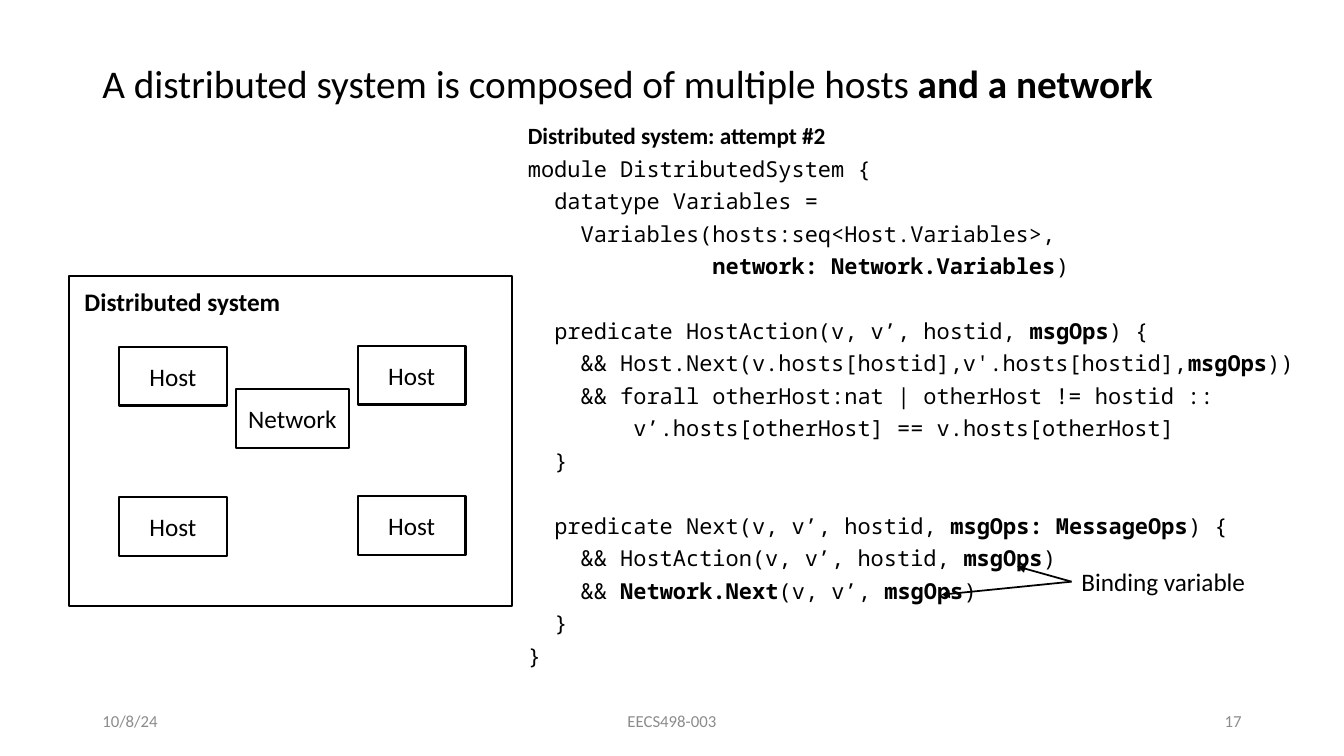
import pptx
import pptx.dml.color
import pptx.enum.shapes
import pptx.enum.text
import pptx.oxml
import pptx.oxml.ns
import pptx.util

Pt = pptx.util.Pt
ALIGN = pptx.enum.text.PP_ALIGN
ANCHOR = pptx.enum.text.MSO_ANCHOR
AUTO_SIZE = pptx.enum.text.MSO_AUTO_SIZE

COLORS = {"ink": "000000", "paper": "FFFFFF", "footer": "8C8C8C"}
SANS, MONO = "Calibri", "Noto Sans Mono"
CODE_SIZE = 15.7
CHARACTER_WIDTH = 0.6 * CODE_SIZE
LINE_GAP = 10
BLANK_LINE = 23.2

# Indent in characters, blank line before, text with bold parts between asterisks
CODE = [
    (0, False, "module DistributedSystem {"),
    (2, False, "datatype Variables ="),
    (4, False, "Variables(hosts:seq<Host.Variables>,"),
    (14, False, "*network: Network.Variables*)"),
    (2, True, "predicate HostAction(v, v’, hostid, *msgOps*) {"),
    (4, False, "&& Host.Next(v.hosts[hostid],v'.hosts[hostid],*msgOps*))"),
    (4, False, "&& forall otherHost:nat | otherHost != hostid ::"),
    (8, False, "v’.hosts[otherHost] == v.hosts[otherHost]"),
    (2, False, "}"),
    (2, True, "predicate Next(v, v’, hostid, *msgOps: MessageOps*) {"),
    (4, False, "&& HostAction(v, v’, hostid, *msgOps*)"),
    (4, False, "&& *Network.Next*(v, v’, *msgOps*)"),
    (2, False, "}"),
    (0, False, "}"),
]


def rgb(name):
    return pptx.dml.color.RGBColor.from_string(COLORS[name])


def write(paragraph, text, size=18, font=SANS, color="ink", align=ALIGN.LEFT,
          line_spacing=None, space_before=None, indent=0):
    """Fill a paragraph; parts between asterisks are bold."""
    paragraph.alignment = align
    if line_spacing:
        paragraph.line_spacing = line_spacing
    if space_before is not None:
        paragraph.space_before = Pt(space_before)
    if indent:
        properties = paragraph._p.get_or_add_pPr()
        properties.set("marL", str(Pt(indent)))
        properties.set("indent", "0")
    for index, part in enumerate(text.split("*")):
        if part:
            run = paragraph.add_run()
            run.text = part
            run.font.size = Pt(size)
            run.font.name = font
            run.font.bold = index % 2 == 1
            run.font.color.rgb = rgb(color)


def add_text(shapes, box, text, anchor=ANCHOR.TOP, wrap=True, grow=False, **text_format):
    shape = shapes.add_textbox(*map(Pt, box))
    frame = shape.text_frame
    frame.word_wrap = wrap
    frame.vertical_anchor = anchor
    frame.auto_size = AUTO_SIZE.SHAPE_TO_FIT_TEXT if grow else AUTO_SIZE.NONE
    write(frame.paragraphs[0], text, **text_format)
    return shape


def add_box(shapes, box, text=""):
    shape = shapes.add_shape(pptx.enum.shapes.MSO_SHAPE.RECTANGLE, *map(Pt, box))
    shape.shadow.inherit = False
    shape.fill.solid()
    shape.fill.fore_color.rgb = rgb("paper")
    shape.line.color.rgb = rgb("ink")
    shape.line.width = Pt(1.5)
    if text:
        shape.text_frame.vertical_anchor = ANCHOR.MIDDLE
        write(shape.text_frame.paragraphs[0], text, align=ALIGN.CENTER)


def add_arrow(shapes, label, end_x, end_y):
    """Draw an arrow from the middle of the label's left side."""
    arrow = shapes.add_connector(pptx.enum.shapes.MSO_CONNECTOR.STRAIGHT,
                                 label.left, label.top + label.height // 2,
                                 Pt(end_x), Pt(end_y))
    arrow.begin_connect(label, 1)
    arrow.line.color.rgb = rgb("ink")
    arrow.line.width = Pt(1.25)
    head = pptx.oxml.parse_xml(
        '<a:tailEnd %s type="triangle"/>' % pptx.oxml.ns.nsdecls("a"))
    arrow.line._get_or_add_ln().append(head)
    effects = pptx.oxml.parse_xml('<a:effectLst %s/>' % pptx.oxml.ns.nsdecls("a"))
    arrow._element.spPr.append(effects)


def add_code(shapes):
    spacing = {"line_spacing": 0.7, "space_before": LINE_GAP}
    listing = add_text(shapes, (370, 88.5, 581, 412),
                       "*Distributed system: attempt #2*", size=16.6, **spacing)
    for indent, blank_before, text in CODE:
        spacing["space_before"] = LINE_GAP + BLANK_LINE * blank_before
        write(listing.text_frame.add_paragraph(), text, size=CODE_SIZE, font=MONO,
              indent=indent * CHARACTER_WIDTH, **spacing)


def add_system(shapes):
    group = shapes.add_group_shape().shapes
    add_box(group, (49, 197.3, 316.8, 235.4))
    add_text(group, (53.3, 200.9, 155.5, 29), "*Distributed system*",
             wrap=False, grow=True)
    for row in range(2):
        for column in range(2):
            add_box(group, (85 + 170.6 * column, 247.7 + 107.3 * row - 0.7 * column,
                            77, 42), "Host")
    add_box(shapes, (168.5, 278, 80.8, 42), "Network")


def add_callout(shapes):
    group = shapes.add_group_shape().shapes
    label = add_text(group, (765.4, 401, 147, 29), "Binding variable", grow=True)
    for end in ((726.5, 404.6), (672.5, 424.8)):
        add_arrow(group, label, *end)


def main():
    presentation = pptx.Presentation()
    presentation.slide_width, presentation.slide_height = Pt(960), Pt(540)
    slide = presentation.slides.add_slide(presentation.slide_layouts[6])
    shapes = slide.shapes
    add_text(shapes, (66, 42.5, 828, 46),
             "A distributed system is composed of multiple hosts *and a network*",
             size=28, line_spacing=0.9, space_before=10)
    for left, width, text, align in ((66, 216, "10/8/24", ALIGN.LEFT),
                                     (318, 324, "EECS498-003", ALIGN.CENTER),
                                     (678, 216, "17", ALIGN.RIGHT)):
        add_text(shapes, (left, 500.5, width, 28.8), text, anchor=ANCHOR.MIDDLE,
                 size=12, color="footer", align=align)
    add_code(shapes)
    add_system(shapes)
    add_callout(shapes)
    presentation.save("out.pptx")


if __name__ == "__main__":
    main()
